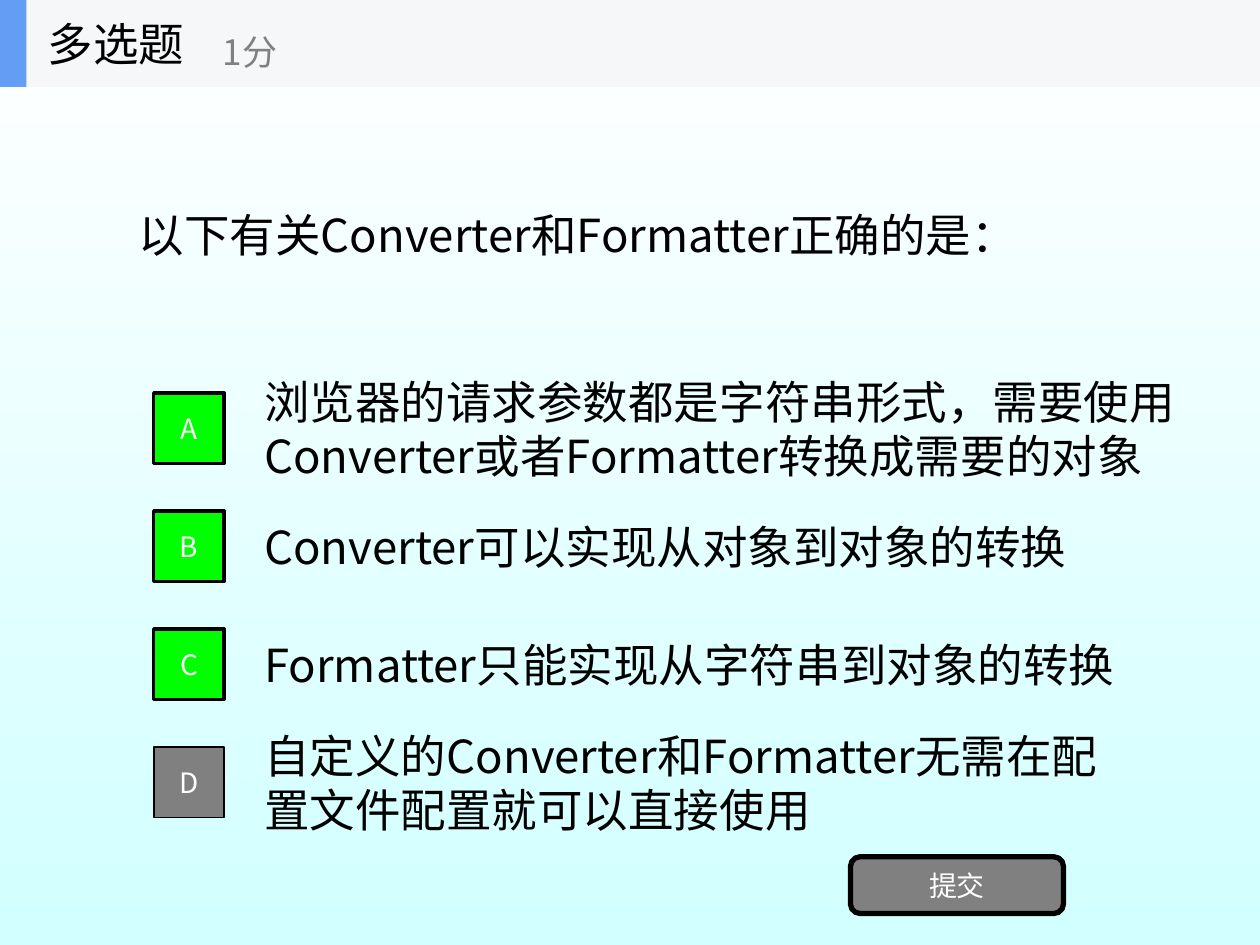
import lxml.etree
import pptx
import pptx.dml.color
import pptx.enum.shapes
import pptx.enum.text
import pptx.oxml.ns
import pptx.util

Inches = pptx.util.Inches
SHAPE = pptx.enum.shapes.MSO_SHAPE
ALIGN = pptx.enum.text.PP_ALIGN
FONT = "Noto Sans CJK SC"
BLACK, GREY, WHITE, GREEN = "000000", "808080", "FFFFFF", "00FF00"


def tint(text):
    return pptx.dml.color.RGBColor.from_string(text)


def write(shape, text, size, color, align=ALIGN.LEFT, wrap=True):
    frame = shape.text_frame
    frame.word_wrap = wrap
    frame.auto_size = pptx.enum.text.MSO_AUTO_SIZE.NONE
    frame.vertical_anchor = pptx.enum.text.MSO_ANCHOR.MIDDLE
    para = frame.paragraphs[0]
    para.alignment = align
    run = para.add_run()
    run.text = text
    run.font.size = pptx.util.Pt(size)
    run.font.name = FONT
    run.font.color.rgb = tint(color)
    props = run._r.get_or_add_rPr()
    lxml.etree.SubElement(props, pptx.oxml.ns.qn("a:ea"), typeface=FONT)


def block(shapes, kind, box, fill, line=0):
    shape = shapes.add_shape(kind, *box)
    shape.shadow.inherit = False
    shape.fill.solid()
    shape.fill.fore_color.rgb = tint(fill)
    if line:
        shape.line.color.rgb = tint(BLACK)
        shape.line.width = pptx.util.Pt(line)
    else:
        shape.line.fill.background()
    return shape


def paint(slide):
    fill = slide.background.fill
    fill.gradient()
    fill.gradient_angle = 270
    for stop, color in zip(fill.gradient_stops, (WHITE, "D2FFFF")):
        stop.color.rgb = tint(color)


def header(slide, left, top, width, height):
    shapes = slide.shapes.add_group_shape().shapes
    block(shapes, SHAPE.RECTANGLE, (left, top, width, height), "F6F7F8")
    block(shapes, SHAPE.RECTANGLE, (left, top, Inches(0.21), height), "639EF4")
    label = shapes.add_textbox(left + Inches(0.28), top, Inches(2.08), height)
    write(label, "多选题", 26, BLACK, wrap=False)
    drop = Inches(0.12)
    score = shapes.add_textbox(left + Inches(1.67), top + drop, Inches(2.5), height - drop)
    write(score, "1分", 20, GREY, wrap=False)


def question(slide, left, top, width, height):
    title = slide.shapes.title
    title.left, title.top, title.width, title.height = left, top, width, height
    write(title, "以下有关Converter和Formatter正确的是：", 26, BLACK)


def choice(slide, left, top, width, height, letter, text, right):
    side = Inches(0.56)
    box = (left, top + (height - side) // 2, side, side)
    mark = block(slide.shapes, SHAPE.RECTANGLE, box,
                 GREEN if right else GREY, 2 if right else 1)
    write(mark, letter, 16, WHITE, ALIGN.CENTER)
    indent = Inches(0.78)
    label = slide.shapes.add_textbox(left + indent, top, width - indent, height)
    write(label, text, 26, BLACK)


def choices(slide, left, top, width, height):
    items = (
        ("A", "浏览器的请求参数都是字符串形式，需要使用Converter或者Formatter转换成需要的对象", True, 0.86),
        ("B", "Converter可以实现从对象到对象的转换", True, 0),
        ("C", "Formatter只能实现从字符串到对象的转换", True, 0),
        ("D", "自定义的Converter和Formatter无需在配置文件配置就可以直接使用", False, 0),
    )
    row = Inches(0.7)
    pitch = (height - row) // (len(items) - 1)
    for index, (letter, text, right, extra) in enumerate(items):
        choice(slide, left, top + index * pitch, width + Inches(extra), row,
               letter, text, right)


def submit(slide, left, top, width, height):
    button = block(slide.shapes, SHAPE.ROUNDED_RECTANGLE,
                   (left, top, width, height), GREY, 3)
    write(button, "提交", 16, WHITE, ALIGN.CENTER)


def main():
    deck = pptx.Presentation()
    deck.slide_width, deck.slide_height = Inches(10), Inches(7.5)
    slide = deck.slides.add_slide(deck.slide_layouts[5])
    paint(slide)
    question(slide, Inches(1), Inches(0.69), Inches(8), Inches(2.34))
    choices(slide, Inches(1.22), Inches(3.05), Inches(7.78), Inches(3.51))
    submit(slide, Inches(6.75), Inches(6.8), Inches(1.69), Inches(0.45))
    header(slide, 0, 0, deck.slide_width, Inches(0.69))
    deck.save("out.pptx")


if __name__ == "__main__":
    main()
